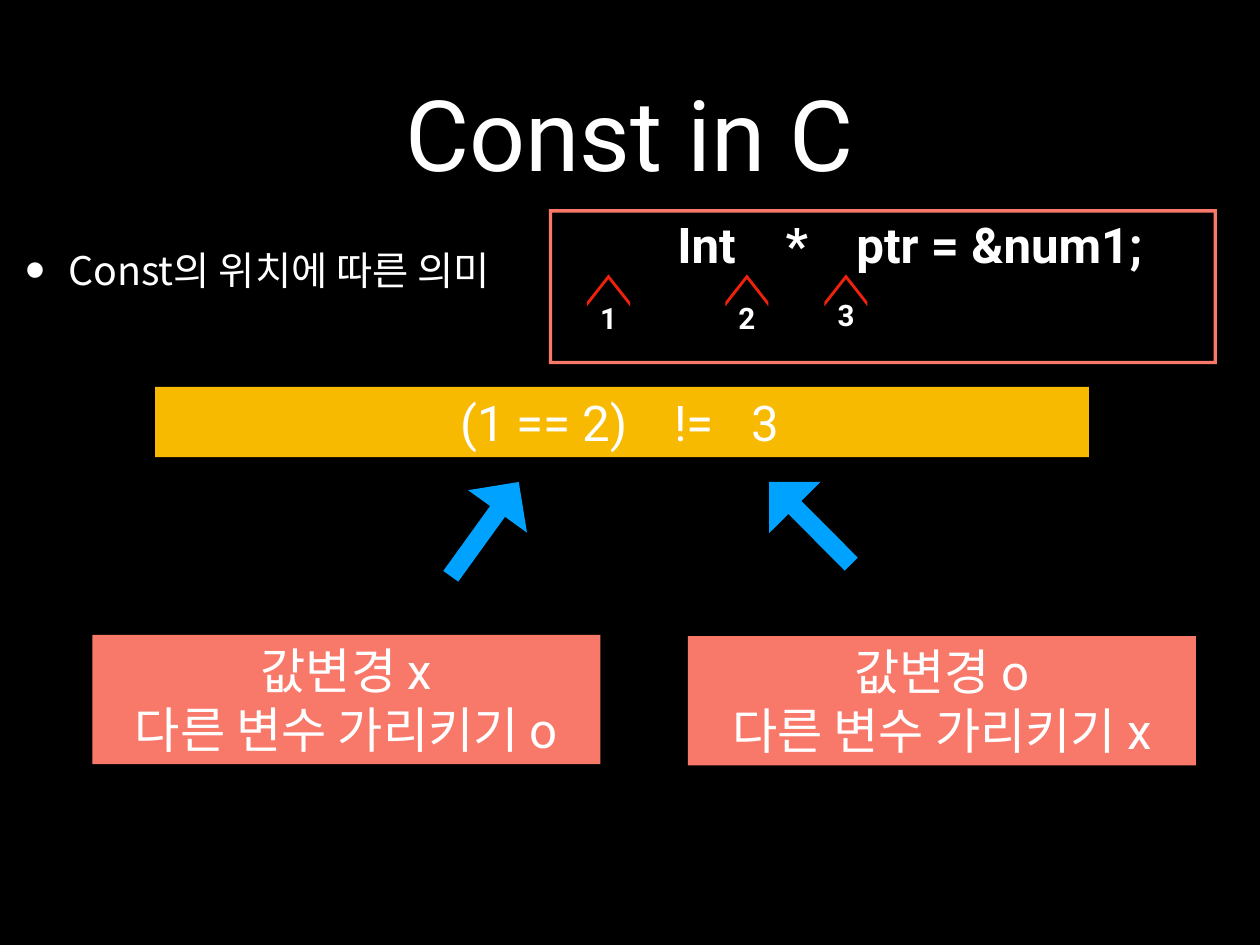
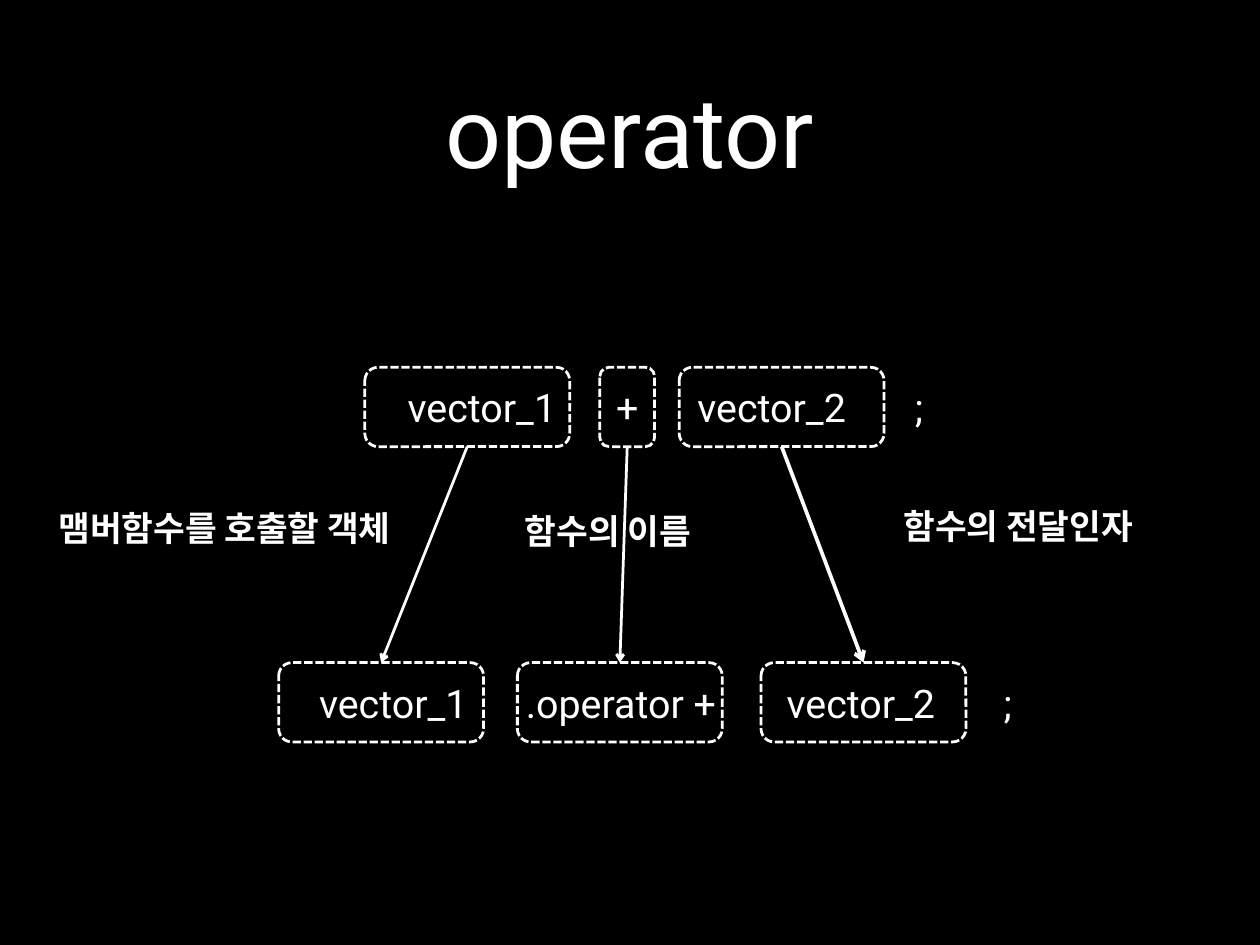
from lxml import etree
from pptx import Presentation
from pptx.dml.color import RGBColor
from pptx.enum.dml import MSO_LINE
from pptx.enum.shapes import MSO_CONNECTOR, MSO_SHAPE
from pptx.enum.text import MSO_ANCHOR, MSO_AUTO_SIZE, PP_ALIGN
from pptx.oxml.ns import qn
from pptx.util import Pt

RECT, ROUNDED = MSO_SHAPE.RECTANGLE, MSO_SHAPE.ROUNDED_RECTANGLE
FRAME, CHEVRON, ARROW = MSO_SHAPE.FRAME, MSO_SHAPE.CHEVRON, MSO_SHAPE.RIGHT_ARROW
STRAIGHT, DASH = MSO_CONNECTOR.STRAIGHT, MSO_LINE.SQUARE_DOT
LEFT, CENTER = PP_ALIGN.LEFT, PP_ALIGN.CENTER
MIDDLE, NO_FIT = MSO_ANCHOR.MIDDLE, MSO_AUTO_SIZE.NONE
TOP_SIDE, BOTTOM_SIDE = 0, 2

COLORS = {"back": "000000", "text": "FFFFFF", "coral": "F8786A",
          "amber": "F8BA00", "blue": "00A2FF", "red": "EE220C"}
FONT, KOREAN_FONT = "Roboto", "Noto Sans CJK KR"
SLIDE_W, SLIDE_H = 1024, 768
INSET = 4.5


def rgb(name):
    return RGBColor.from_string(COLORS[name])


def set_text(s, lines, size, bold=False, align=CENTER, font=FONT, tabs=(), left=INSET, right=INSET):
    tf = s.text_frame
    tf.auto_size, tf.word_wrap, tf.vertical_anchor = NO_FIT, True, MIDDLE
    tf.margin_left, tf.margin_right = Pt(left), Pt(right)
    tf.margin_top = tf.margin_bottom = Pt(INSET)
    tf.text = lines
    for p in tf.paragraphs:
        p.alignment = align
        p.font.name, p.font.size, p.font.bold = font, Pt(size), bold
        p.font.color.rgb = rgb("text")
        pPr = p._p.get_or_add_pPr()
        def_rpr = pPr.find(qn("a:defRPr"))
        etree.SubElement(def_rpr, qn("a:ea")).set("typeface", KOREAN_FONT)
        if tabs:
            tab_list = etree.Element(qn("a:tabLst"))
            for pos, algn in tabs:
                tab = etree.SubElement(tab_list, qn("a:tab"))
                tab.set("pos", str(Pt(pos)))
                tab.set("algn", algn)
            def_rpr.addprevious(tab_list)
    return s


def add_text(slide, box, lines, size, **style):
    s = slide.shapes.add_textbox(*map(Pt, box))
    return set_text(s, lines, size, **style)


def add_shape(slide, kind, box, fill=None, rotation=0, adjust=()):
    s = slide.shapes.add_shape(kind, *map(Pt, box))
    s.shadow.inherit = False
    s.rotation = rotation
    for i, value in enumerate(adjust):
        s.adjustments[i] = value
    if fill:
        s.fill.solid()
        s.fill.fore_color.rgb = rgb(fill)
        s.line.fill.background()
    else:
        s.fill.background()
    return s


def around(cx, cy, w, h):
    """Box of the given size centred on a point."""
    return cx - w / 2, cy - h / 2, w, h


def add_slide(prs, title, top):
    slide = prs.slides.add_slide(prs.slide_layouts[5])
    s = slide.shapes.title
    s.left, s.top, s.width, s.height = map(Pt, (75, top, 874, 170))
    set_text(s, title, 80)
    return slide


def add_bullet(slide, box, text):
    s = add_text(slide, box, text, 32, align=LEFT, font=KOREAN_FONT)
    pPr = s.text_frame.paragraphs[0]._p.get_or_add_pPr()
    pPr.set("marL", str(Pt(35)))
    pPr.set("indent", str(Pt(-35)))
    def_rpr = pPr.find(qn("a:defRPr"))
    for tag, key, value in (("buSzPct", "val", "145000"),
                            ("buFont", "typeface", "Arial"),
                            ("buChar", "char", "•")):
        bullet = etree.Element(qn("a:" + tag))
        bullet.set(key, value)
        def_rpr.addprevious(bullet)


def add_code_panel(slide, box):
    x, y, w, h = box
    add_text(slide, (x + 100, y, w - 100, 57), "Int\t*\tptr = &num1;", 40,
             bold=True, align=LEFT, tabs=((97, "ctr"), (145.5, "l")))
    # Numbered carets for the places const can take
    for label, dx, dy in (("1", 48.5, 88.5), ("2", 161, 88), ("3", 241.5, 85.5)):
        add_shape(slide, CHEVRON, around(x + dx, y + 66, 26, 35), "red", 270, (0.855,))
        add_text(slide, around(x + dx, y + dy, 96, 37), label, 24, bold=True)
    add_shape(slide, FRAME, box, "coral", adjust=(0.022,))


def add_rule_bar(slide, box):
    s = add_shape(slide, RECT, box, "amber")
    set_text(s, "(1 == 2)\t!=\t3", 40, align=LEFT, left=248,
             tabs=((174, "l"), (237, "l")))


def add_meaning(slide, box, lines, arrow_at, angle):
    set_text(add_shape(slide, RECT, box, "coral"), lines, 40)
    add_shape(slide, ARROW, around(*arrow_at, 94.5, 59), "blue", angle, (0.254, 0.5))


def add_token_row(slide, y, h, tokens, end_x):
    """Dashed boxes from (text, left, width, text shift), then a semicolon."""
    boxes = []
    for text, x, w, shift in tokens:
        s = add_shape(slide, ROUNDED, (x, y, w, h))
        s.line.color.rgb = rgb("text")
        s.line.width, s.line.dash_style = Pt(2.25), DASH
        set_text(s, text, 32, left=max(0, 2 * shift), right=max(0, -2 * shift))
        boxes.append(s)
    add_text(slide, around(end_x, y + h / 2, 30, h), ";", 32)
    return boxes


def add_arrow(slide, start, end, width):
    c = slide.shapes.add_connector(STRAIGHT, 0, 0, 0, 0)
    c.begin_connect(start, BOTTOM_SIDE)
    c.end_connect(end, TOP_SIDE)
    c.line.color.rgb, c.line.width = rgb("text"), Pt(width)
    etree.SubElement(c.line._get_or_add_ln(), qn("a:tailEnd")).set("type", "arrow")
    etree.SubElement(c._element.spPr, qn("a:effectLst"))


def build_const_slide(prs):
    slide = add_slide(prs, "Const in C", 22)
    add_bullet(slide, (16, 191, 420, 56), "Const의 위치에 따른 의미")
    add_code_panel(slide, (446, 170, 543, 126))
    add_rule_bar(slide, (126, 314.5, 759, 57))
    add_meaning(slide, (75, 516, 413, 105), "값변경 x\n다른 변수 가리키기 o", (394, 430), 305.8)
    add_meaning(slide, (559, 517, 413, 105), "값변경 o\n다른 변수 가리키기 x", (658.5, 425), 225.1)


def build_operator_slide(prs):
    slide = add_slide(prs, "operator", 20)
    wide, narrow, h = 166.5, 44.5, 64.5
    upper = add_token_row(slide, 298.5, h, (
        ("vector_1", 296.5, wide, 12),
        ("+", 487.5, narrow, 0),
        ("vector_2", 552, wide, -8)), 747)
    lower = add_token_row(slide, 538.5, h, (
        ("vector_1", 226.5, wide, 10),
        (".operator +", 420.5, wide, 1),
        ("vector_2", 618.5, wide, -2)), 819)
    for start, end, width in zip(upper, lower, (2.25, 2.25, 3)):
        add_arrow(slide, start, end, width)
    # Role of each token
    for text, cx, cy in (("맴버함수를 호출할 객체", 182.5, 429),
                         ("함수의 이름", 494, 431),
                         ("함수의 전달인자", 827.5, 427)):
        add_text(slide, around(cx, cy, 318, 42), text, 28, bold=True)


def main():
    prs = Presentation()
    prs.slide_width, prs.slide_height = Pt(SLIDE_W), Pt(SLIDE_H)
    fill = prs.slide_master.background.fill
    fill.solid()
    fill.fore_color.rgb = rgb("back")
    build_const_slide(prs)
    build_operator_slide(prs)
    prs.save("out.pptx")


if __name__ == "__main__":
    main()
